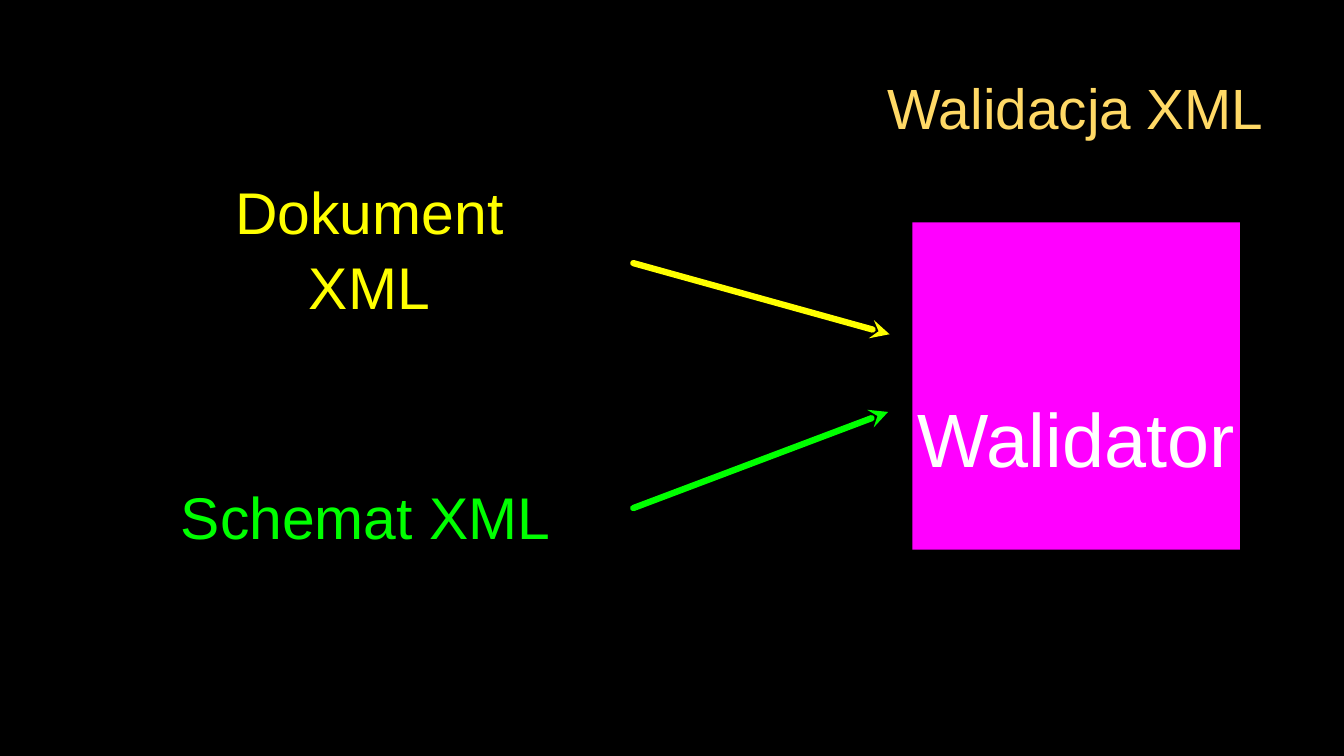
from lxml.etree import SubElement
from pptx import Presentation
from pptx.dml.color import RGBColor
from pptx.enum.shapes import MSO_CONNECTOR, MSO_SHAPE
from pptx.enum.text import MSO_ANCHOR, PP_ALIGN
from pptx.oxml.ns import qn
from pptx.util import Cm, Pt

BLACK = RGBColor(0x00, 0x00, 0x00)
WHITE = RGBColor(0xFF, 0xFF, 0xFF)
GOLD = RGBColor(0xFF, 0xD9, 0x66)
YELLOW = RGBColor(0xFF, 0xFF, 0x00)
GREEN = RGBColor(0x00, 0xFF, 0x00)
MAGENTA = RGBColor(0xFF, 0x00, 0xFF)

FONT = "Arial"
LINE_SPACING = 1.06


def write_text(shape, text, *, size, color, top_inset=0):
    frame = shape.text_frame
    frame.word_wrap = True
    frame.vertical_anchor = MSO_ANCHOR.MIDDLE
    frame.margin_left = frame.margin_right = frame.margin_bottom = 0
    frame.margin_top = Cm(top_inset)
    paragraph = frame.paragraphs[0]
    paragraph.alignment = PP_ALIGN.CENTER
    paragraph.line_spacing = LINE_SPACING
    run = paragraph.add_run()
    run.text = text
    run.font.name = FONT
    run.font.size = Pt(size)
    run.font.color.rgb = color


def add_label(slide, text, box, *, size=56, color):
    shape = slide.shapes.add_textbox(*map(Cm, box))
    write_text(shape, text, size=size, color=color)


def add_arrow(slide, start, end, color):
    connector = slide.shapes.add_connector(
        MSO_CONNECTOR.STRAIGHT, *map(Cm, start + end))
    connector.line.color.rgb = color
    connector.line.width = Pt(6)
    properties = connector._element.spPr
    line = properties.find(qn("a:ln"))
    line.set("cap", "rnd")
    SubElement(line, qn("a:round"))
    SubElement(line, qn("a:tailEnd"), type="stealth")
    SubElement(properties, qn("a:effectLst"))


def add_validator(slide, box):
    """Draw the square that both inputs lead to, its name below the middle."""
    square = slide.shapes.add_shape(MSO_SHAPE.RECTANGLE, *map(Cm, box))
    square.shadow.inherit = False
    square.fill.solid()
    square.fill.fore_color.rgb = MAGENTA
    square.line.fill.background()
    write_text(square, "Walidator", size=72, color=WHITE, top_inset=3.28)


def add_validation_diagram(slide, box):
    """Place the two inputs, their arrows and the validator inside the box."""
    left, top, width, height = box
    side = 11
    add_validator(slide, (left + width - side, top + 0.46, side, side))

    add_label(slide, "Schemat XML", (left, top + 9, 17.02, 2.54), color=GREEN)
    add_label(slide, "Dokument XML", (left + 1.98, top, 13.31, 2.54), color=YELLOW)

    arrow_left = left + 17.5
    add_arrow(slide, (arrow_left, top + 1.83), (left + 26.11, top + 4.22), YELLOW)
    add_arrow(slide, (arrow_left, top + 10.06), (left + 26.06, top + 6.83), GREEN)


def main():
    presentation = Presentation()
    presentation.slide_width = Cm(45.16)
    presentation.slide_height = Cm(25.4)
    slide = presentation.slides.add_slide(presentation.slide_layouts[6])
    slide.background.fill.solid()
    slide.background.fill.fore_color.rgb = BLACK

    add_validation_diagram(slide, (3.78, 7.01, 37.88, 11.54))
    add_label(slide, "Walidacja XML", (29.36, 2.11, 13.56, 2.79), size=54, color=GOLD)
    presentation.save("out.pptx")


if __name__ == "__main__":
    main()
